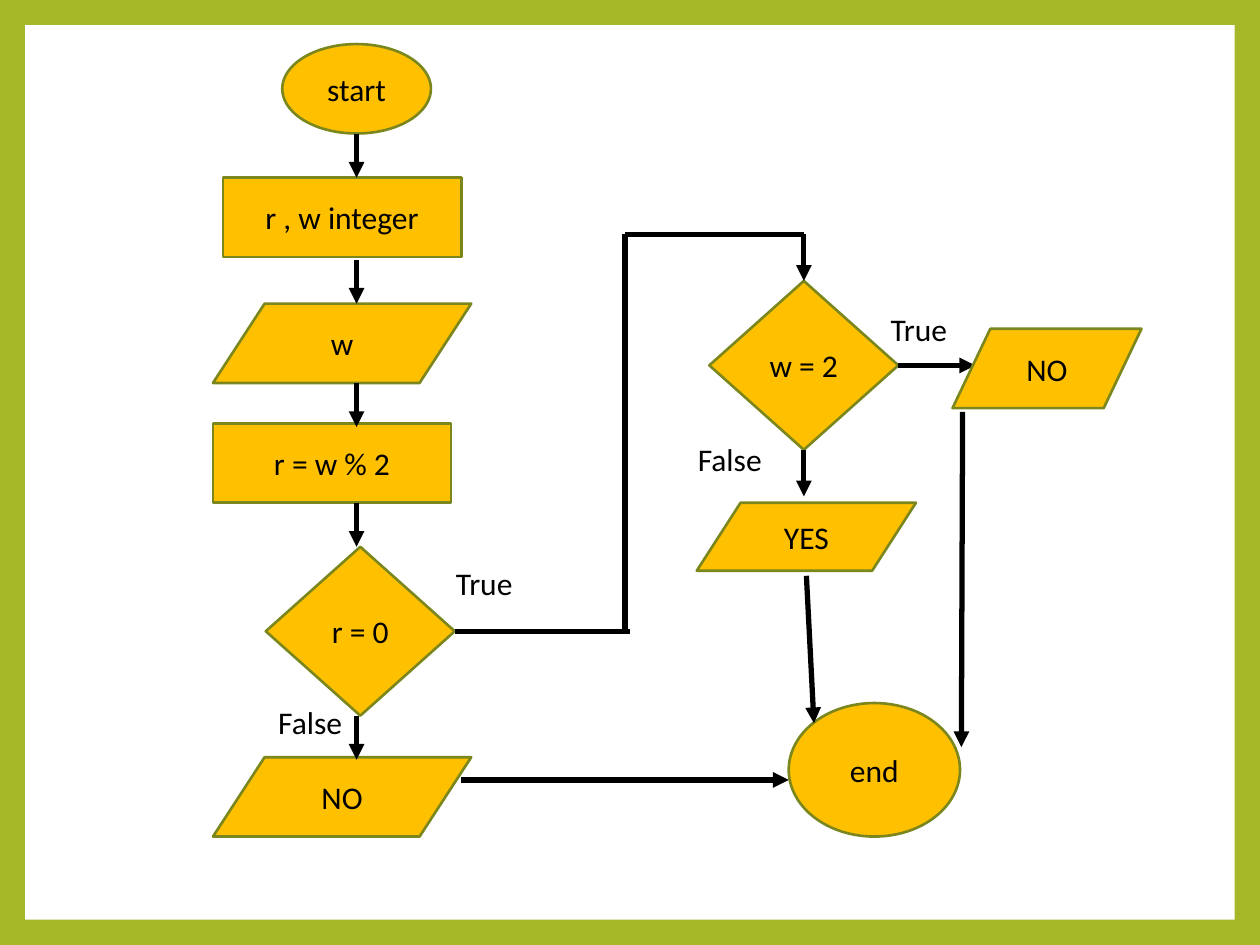
from lxml.etree import SubElement
from pptx import Presentation
from pptx.dml.color import RGBColor
from pptx.enum.shapes import MSO_CONNECTOR, MSO_SHAPE as Shape
from pptx.enum.text import MSO_ANCHOR, MSO_AUTO_SIZE, PP_ALIGN
from pptx.oxml.ns import qn
from pptx.util import Inches, Pt

deck = Presentation()
deck.slide_width, deck.slide_height = Inches(10), Inches(7.5)
COL = deck.slide_width / 100
ROW = deck.slide_height / 75
slide = deck.slides.add_slide(deck.slide_layouts[6])

GREEN, WHITE, AMBER, OLIVE, BLACK = "A6B727", "FFFFFF", "FFC000", "7B871D", "000000"
TOP, BOTTOM, RIGHT = 0, 2, 3


def paint(fill, color):
    fill.solid()
    fill.fore_color.rgb = RGBColor.from_string(color)


def write(frame, words):
    frame.text = words
    font = frame.paragraphs[0].runs[0].font
    font.name, font.size = "Calibri", Pt(18)
    paint(font.fill, BLACK)


paint(slide.background.fill, GREEN)
panel = slide.shapes.add_shape(
    Shape.RECTANGLE, *(round(n) for n in (2 * COL, 2 * ROW, 96 * COL, 71 * ROW)))
panel.shadow.inherit = False
paint(panel.fill, WHITE)
panel.line.fill.background()

# Steps: key, preset, wording, left, top, columns, rows
steps = [
    ("start", Shape.OVAL, "start", 22.4, 3.5, 11.8, 7.1),
    ("declare", Shape.FLOWCHART_PROCESS, "r , w integer", 17.7, 14.1, 18.9, 6.3),
    ("input", Shape.FLOWCHART_DATA, "w", 16.9, 24.1, 20.5, 6.3),
    ("modulo", Shape.FLOWCHART_PROCESS, "r = w % 2", 16.9, 33.6, 18.9, 6.3),
    ("is even", Shape.FLOWCHART_DECISION, "r = 0", 21.1, 43.4, 15, 13.4),
    ("odd", Shape.FLOWCHART_DATA, "NO", 16.9, 60.1, 20.5, 6.3),
    ("is two", Shape.FLOWCHART_DECISION, "w = 2", 56.3, 22.3, 15, 13.4),
    ("yes", Shape.FLOWCHART_DATA, "YES", 55.3, 39.9, 17.4, 5.4),
    ("end", Shape.OVAL, "end", 62.6, 55.8, 13.6, 10.6),
    ("two", Shape.FLOWCHART_DATA, "NO", 75.6, 26.1, 15, 6.3),
]
nodes = {}
for key, preset, words, left, top, columns, rows in steps:
    node = slide.shapes.add_shape(
        preset, round(left * COL), round(top * ROW), round(columns * COL), round(rows * ROW))
    node.shadow.inherit = False
    paint(node.fill, AMBER)
    paint(node.line.fill, OLIVE)
    node.line.width = Pt(1.5)
    node.text_frame.vertical_anchor = MSO_ANCHOR.MIDDLE
    write(node.text_frame, words)
    node.text_frame.paragraphs[0].alignment = PP_ALIGN.CENTER
    nodes[key] = node

# Flows: from x, y, to x, y, arrowhead, joined start, joined end
spine = 28.3
flows = [(spine, y, spine, y + 3.5, True, None, None)
         for y in (10.6, 20.6, 30.4, 39.9, 56.8)]
flows += [
    (35.8, 50.1, 50, 50.1, False, ("is even", RIGHT), None),
    (49.6, 50.1, 49.6, 18.6, False, None, None),
    (49.6, 18.6, 63.8, 18.6, False, None, None),
    (63.8, 18.6, 63.8, 22.3, True, None, ("is two", TOP)),
    (71.1, 29, 77.4, 29, True, ("is two", RIGHT), None),
    (63.8, 35.6, 63.8, 39.4, True, ("is two", BOTTOM), None),
    (36.6, 61.9, 62.6, 61.9, True, None, None),
    (76.4, 32.7, 76.3, 59.3, True, None, None),
    (64, 45.7, 64.6, 57.4, True, None, None),
]
for x1, y1, x2, y2, arrowhead, source, target in flows:
    flow = slide.shapes.add_connector(
        MSO_CONNECTOR.STRAIGHT,
        round(x1 * COL), round(y1 * ROW), round(x2 * COL), round(y2 * ROW))
    if source:
        flow.begin_connect(nodes[source[0]], source[1])
    if target:
        flow.end_connect(nodes[target[0]], target[1])
    paint(flow.line.fill, BLACK)
    flow.line.width = Pt(3)
    if arrowhead:
        SubElement(flow.line._get_or_add_ln(), qn("a:tailEnd"), type="triangle")
    SubElement(flow._element.spPr, qn("a:effectLst"))

# The right-hand NO covers the tip of the arrow that reaches it
slide.shapes._spTree.append(nodes["two"]._element)

branches = [("True", 35.2, 44.3, 6.7), ("False", 21.1, 55.3, 7.4),
            ("True", 69.7, 24.1, 6.7), ("False", 54.4, 34.4, 7.4)]
for words, left, top, columns in branches:
    branch = slide.shapes.add_textbox(
        round(left * COL), round(top * ROW), round(columns * COL), round(4 * ROW))
    branch.text_frame.word_wrap = False
    branch.text_frame.auto_size = MSO_AUTO_SIZE.SHAPE_TO_FIT_TEXT
    write(branch.text_frame, words)

deck.save("out.pptx")
